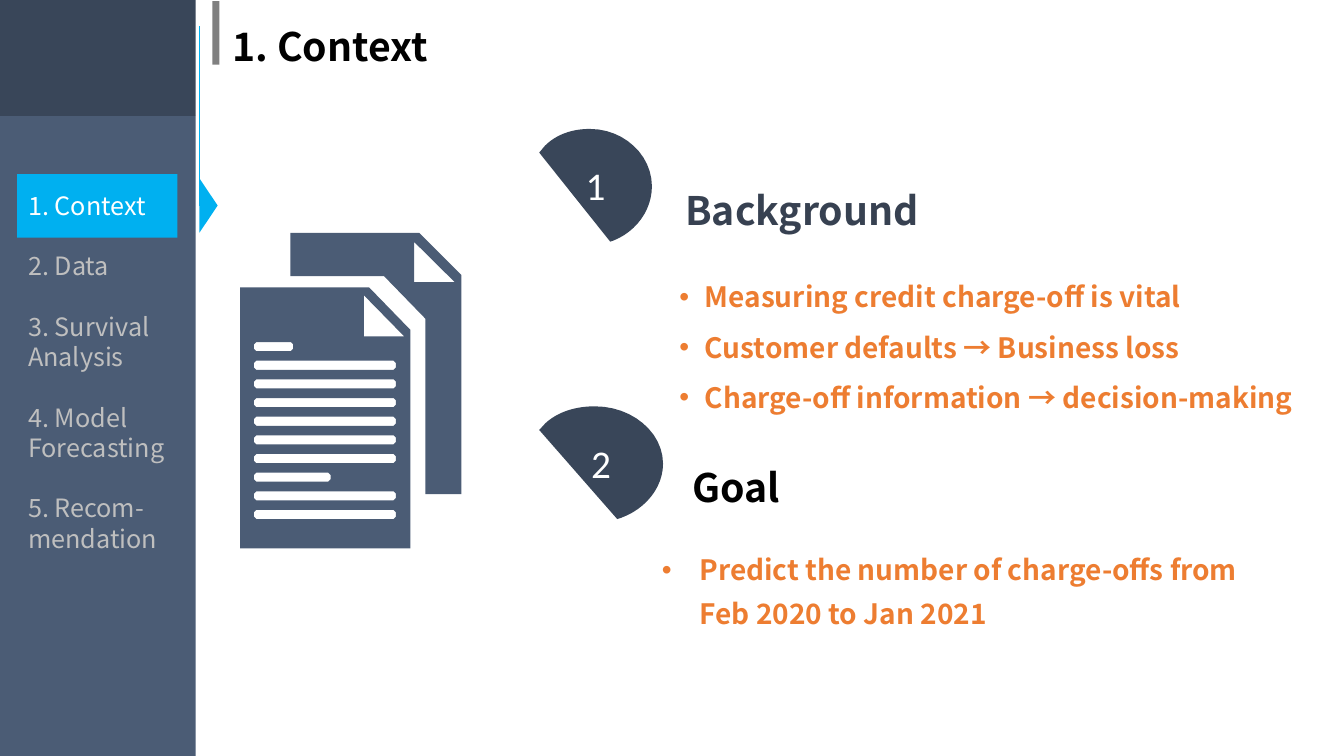
from dataclasses import dataclass

from lxml.etree import SubElement
from pptx import Presentation
from pptx.dml.color import RGBColor
from pptx.enum.shapes import MSO_CONNECTOR, MSO_SHAPE
from pptx.enum.text import MSO_ANCHOR, PP_ALIGN
from pptx.oxml.ns import qn
from pptx.util import Cm, Pt


@dataclass(frozen=True)
class Theme:
    sidebar: str = "4B5C75"
    dark: str = "394659"
    active: str = "00B0F0"
    marker: str = "808080"
    white: str = "FFFFFF"
    muted: str = "BFBFBF"
    black: str = "000000"
    heading: str = "374151"
    accent: str = "ED7D31"
    font: str = "Noto Sans CJK SC"
    number_font: str = "Calibri"
    navigation_size: int = 18
    body_size: int = 20
    title_size: int = 28
    line_height: float = 1.2


def apply_format(target, values):
    for name, value in values.items():
        setattr(target, name, value)


def bezier(start, first, second, end, steps=12):
    for step in range(1, steps + 1):
        t = step / steps
        weights = ((1 - t) ** 3, 3 * t * (1 - t) ** 2, 3 * t * t * (1 - t), t ** 3)
        points = (start, first, second, end)
        yield tuple(sum(w * p[axis] for w, p in zip(weights, points)) for axis in (0, 1))


class SlideBuilder:
    def __init__(self, slide, theme):
        self.slide = slide
        self.theme = theme

    def paint(self, shape, color):
        shape.shadow.inherit = False
        shape.fill.solid()
        shape.fill.fore_color.rgb = RGBColor.from_string(color)
        shape.line.fill.background()
        return shape

    def shape(self, kind, box, color, rotation=0):
        shape = self.slide.shapes.add_shape(kind, *map(Cm, box))
        shape.rotation = rotation
        return self.paint(shape, color)

    def outline(self, contours, color):
        first, *others = [[(Cm(x), Cm(y)) for x, y in contour] for contour in contours]
        builder = self.slide.shapes.build_freeform(*first[0], scale=1.0)
        builder.add_line_segments(first[1:], close=True)
        for contour in others:
            builder.move_to(*contour[0])
            builder.add_line_segments(contour[1:], close=True)
        return self.paint(builder.convert_to_shape(), color)

    def line(self, start, end, color, width):
        connector = self.slide.shapes.add_connector(
            MSO_CONNECTOR.STRAIGHT, *map(Cm, start + end))
        connector.line.color.rgb = RGBColor.from_string(color)
        connector.line.width = Pt(width)
        SubElement(connector._element.spPr, qn("a:effectLst"))

    def add_text(self, paragraph, text, color, size, bold=False, font=None, **layout):
        run = paragraph.add_run()
        run.text = text
        apply_format(run.font, {"name": font or self.theme.font, "size": Pt(size), "bold": bold})
        run.font.color.rgb = RGBColor.from_string(color)
        apply_format(paragraph, layout)

    def bullet(self, paragraph, margin, hanging):
        properties = paragraph._p.get_or_add_pPr()
        properties.set("marL", str(Cm(margin)))
        properties.set("indent", str(-Cm(hanging)))
        SubElement(properties, qn("a:buFont")).set("typeface", "Arial")
        SubElement(properties, qn("a:buChar")).set("char", "•")

    def text_box(self, box, wrap=True, anchor=MSO_ANCHOR.TOP):
        frame = self.slide.shapes.add_textbox(*map(Cm, box)).text_frame
        apply_format(frame, {"word_wrap": wrap, "vertical_anchor": anchor})
        return frame

    def paragraphs(self, frame, count):
        return [frame.paragraphs[0]] + [frame.add_paragraph() for _ in range(count - 1)]

    def title(self, text, box, color):
        size = self.theme.title_size
        frame = self.text_box(box, wrap=False)
        self.add_text(frame.paragraphs[0], text, color, size, bold=True,
                      line_spacing=Pt(size * self.theme.line_height))

    def navigation(self, entries, box):
        size = self.theme.navigation_size
        line = Pt(size * self.theme.line_height)
        for index, paragraph in enumerate(self.paragraphs(self.text_box(box), len(entries))):
            color = self.theme.muted if index else self.theme.white
            self.add_text(paragraph, entries[index], color, size,
                          line_spacing=line, space_before=line if index else Pt(0))

    def bullet_list(self, items, box, spacing, margin, hanging, anchor=MSO_ANCHOR.TOP):
        size = self.theme.body_size
        frame = self.text_box(box, anchor=anchor)
        for item, paragraph in zip(items, self.paragraphs(frame, len(items))):
            self.add_text(paragraph, item, self.theme.accent, size, bold=True,
                          line_spacing=Pt(size * self.theme.line_height * spacing))
            self.bullet(paragraph, margin, hanging)

    def badge(self, number, left, top, width, height):
        crown, side, tail = (0.45, 0), (1, 0.51), (0.66, 0.99)
        curve = [
            crown,
            *bezier(crown, (0.75, 0), (1, 0.23), side),
            *bezier(side, (1, 0.72), (0.86, 0.91), tail),
            (0.63, 1), (0, 0.21), (0.05, 0.15),
            *bezier((0.05, 0.15), (0.15, 0.05), (0.29, 0), crown),
        ]
        contour = [(left + x * width, top + y * height) for x, y in curve]
        frame = self.outline([contour], self.theme.dark).text_frame
        frame.vertical_anchor = MSO_ANCHOR.MIDDLE
        self.add_text(frame.paragraphs[0], number, self.theme.white, self.theme.title_size,
                      font=self.theme.number_font, alignment=PP_ALIGN.CENTER)

    def documents(self):
        front = [(6.05, 7.24), (9.3, 7.24), (10.34, 8.31), (10.34, 13.82), (6.05, 13.82)]
        front_fold = [(9.17, 7.44), (9.17, 8.48), (10.19, 8.48)]
        back = [(7.32, 5.87), (10.57, 5.87), (11.63, 6.93), (11.63, 12.45),
                (10.72, 12.45), (10.72, 8.03), (9.68, 6.96), (7.32, 6.96)]
        back_fold = [(10.44, 6.1), (10.44, 7.11), (11.46, 7.11)]
        short_lines = {0: 7.39, 7: 8.33}
        text_lines = [self.text_line(6.4, 8.62 + 0.47 * row, short_lines.get(row, 9.98))
                      for row in range(10)]
        self.outline([front, front_fold, back, back_fold, *text_lines], self.theme.sidebar)

    def text_line(self, left, top, right, height=0.23, corner=0.06):
        bottom = top + height
        return [(left + corner, top), (right - corner, top),
                (right, top + corner), (right, bottom - corner),
                (right - corner, bottom), (left + corner, bottom),
                (left, bottom - corner), (left, top + corner)]


def main():
    presentation = Presentation()
    apply_format(presentation, {"slide_width": Cm(33.87), "slide_height": Cm(19.05)})
    theme = Theme()
    builder = SlideBuilder(presentation.slides.add_slide(presentation.slide_layouts[6]), theme)

    builder.shape(MSO_SHAPE.RECTANGLE, (0, 2.92, 4.93, 16.13), theme.sidebar)
    builder.shape(MSO_SHAPE.RECTANGLE, (0, 0, 4.93, 2.92), theme.dark)
    builder.shape(MSO_SHAPE.RECTANGLE, (0.43, 4.39, 4.04, 1.6), theme.active)
    builder.shape(MSO_SHAPE.ISOSCELES_TRIANGLE, (4.57, 4.95, 1.37, 0.46), theme.active, 90)
    builder.navigation(
        ["1. Context", "2. Data", "3. Survival Analysis", "4. Model Forecasting",
         "5. Recom-mendation"], (0.46, 4.67, 4.6, 11.02))
    builder.line((5.03, 5.18), (5.03, 0.66), theme.active, 0.5)
    builder.shape(MSO_SHAPE.RECTANGLE, (5.35, 0.03, 0.18, 1.6), theme.marker)
    builder.title("1. Context", (5.61, 0.43, 6.55, 1.45), theme.black)
    builder.documents()

    builder.badge("1", 13.59, 3.25, 2.84, 2.84)
    builder.title("Background", (17.02, 4.57, 9.12, 1.45), theme.heading)
    builder.badge("2", 13.59, 10.24, 3.12, 2.84)
    builder.title("Goal", (17.2, 11.56, 2.79, 1.45), theme.black)
    builder.bullet_list(
        ["Predict the number of charge-offs from Feb 2020 to Jan 2021"],
        (16.43, 13.11, 15.27, 3.33), 1.3, 0.95, 0.95, MSO_ANCHOR.MIDDLE)
    builder.bullet_list(
        ["Measuring credit charge-off is vital",
         "Customer defaults → Business loss",
         "Charge-off information → decision-making"],
        (16.64, 6.5, 17.15, 3.96), 1.5, 0.87, 0.64)

    presentation.save("out.pptx")


if __name__ == "__main__":
    main()
